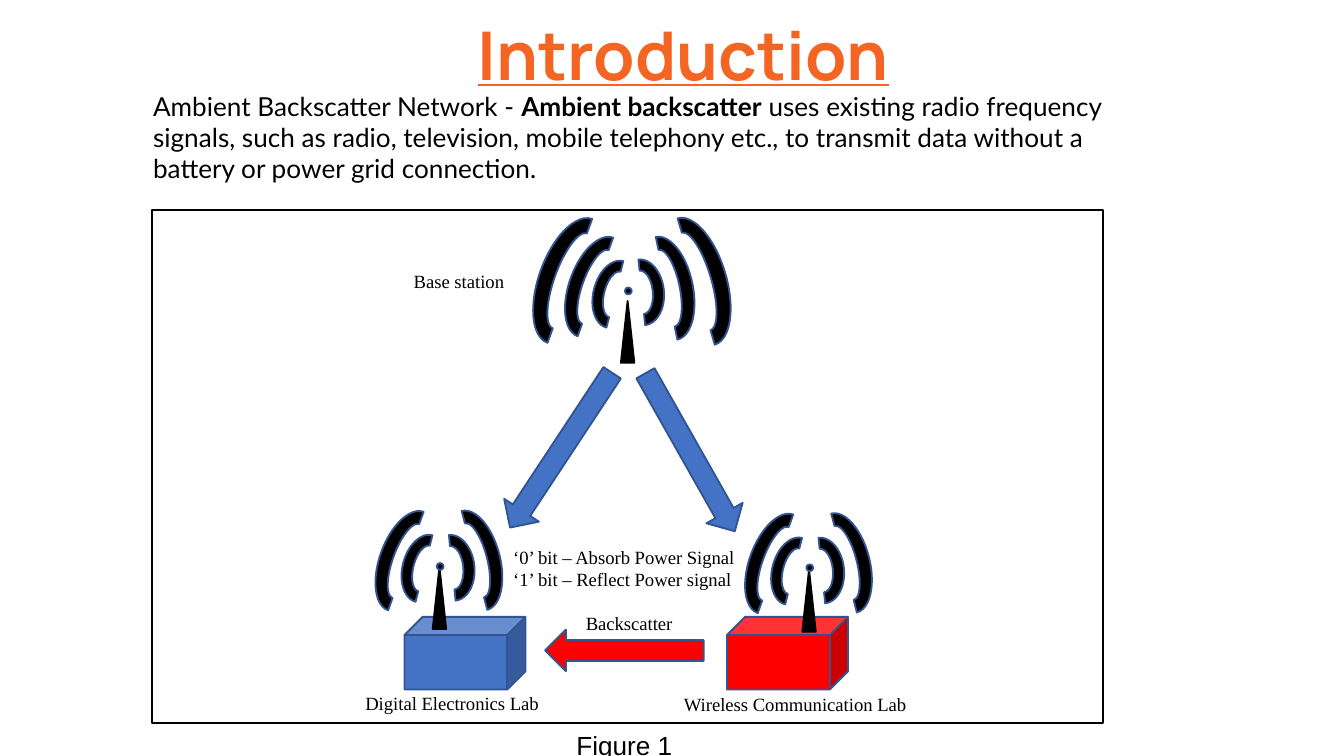
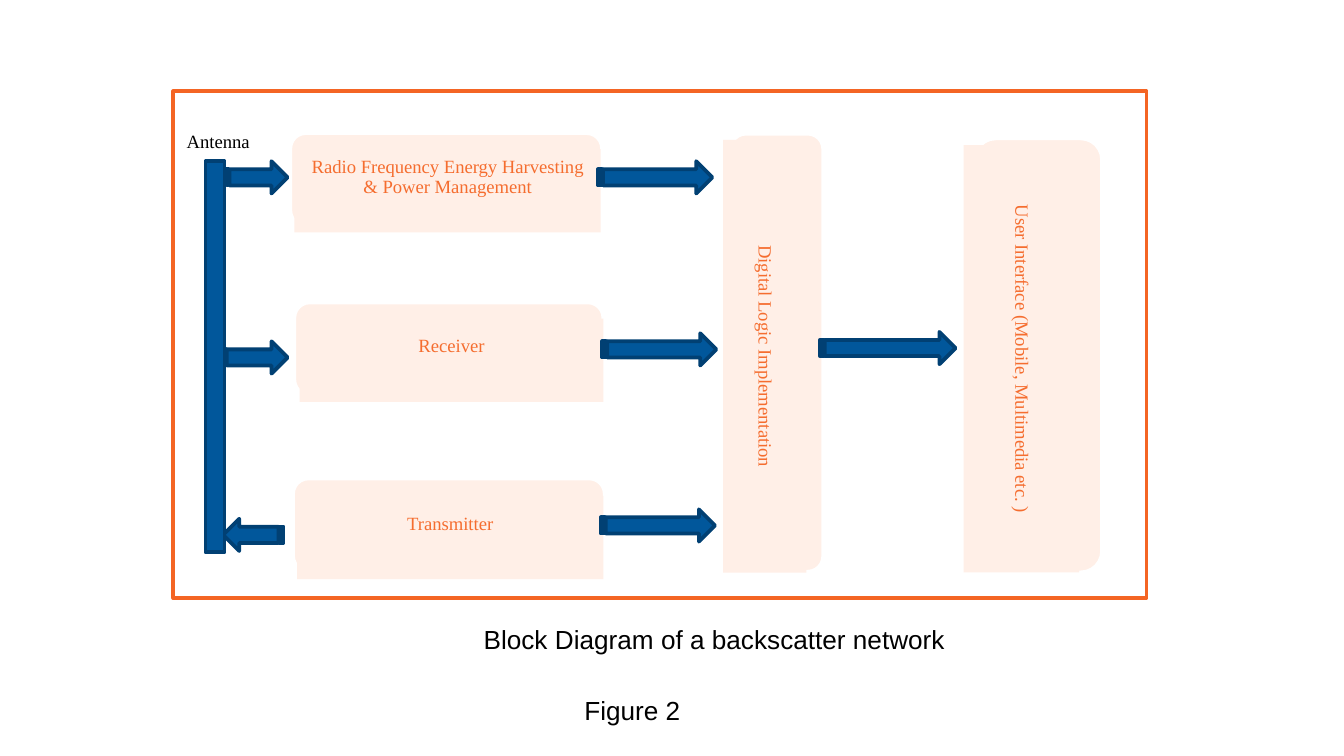
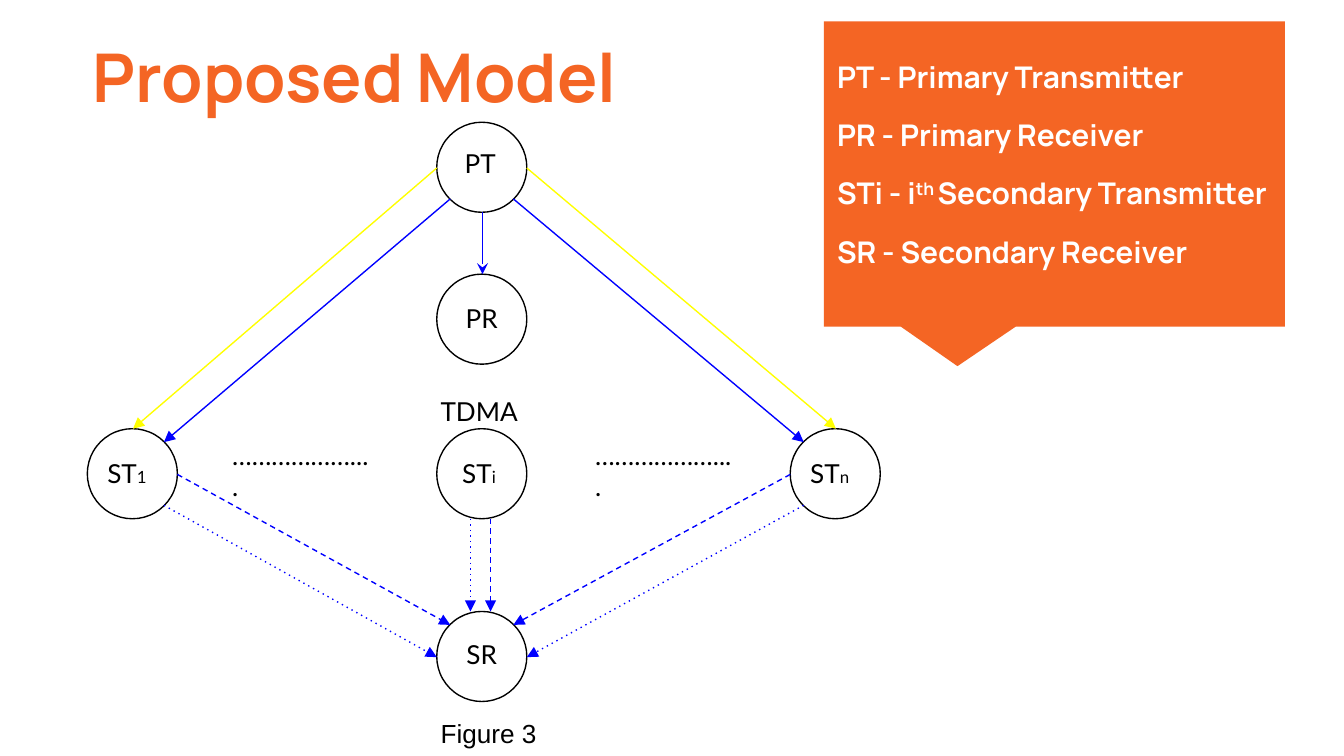
from lxml import etree
from pptx import Presentation
from pptx.dml.color import RGBColor
from pptx.enum.shapes import MSO_CONNECTOR, MSO_SHAPE as SHAPE
from pptx.enum.text import MSO_ANCHOR as ANCHOR, PP_ALIGN as ALIGN
from pptx.oxml.ns import qn
from pptx.util import Inches, Pt

ORANGE = RGBColor(0xF4, 0x65, 0x24)
TEXT_ORANGE = RGBColor(0xF5, 0x6D, 0x2F)
PEACH = RGBColor(0xFF, 0xEF, 0xE7)
BLACK = RGBColor(0, 0, 0)
WHITE = RGBColor(0xFF, 0xFF, 0xFF)
RED = RGBColor(0xFF, 0, 0)
YELLOW = RGBColor(0xFF, 0xFF, 0)
BLUE = RGBColor(0, 0, 0xFF)
STEEL = RGBColor(0x44, 0x72, 0xC4)
STEEL_EDGE = RGBColor(0x32, 0x54, 0x91)
NAVY = RGBColor(0x01, 0x57, 0x9B)
NAVY_EDGE = RGBColor(0x01, 0x40, 0x73)

TITLE = {"name": "Manrope", "size": Pt(36), "bold": True, "color": ORANGE}
LEGEND = {"name": "Manrope", "size": Pt(16), "bold": True, "color": WHITE}
BODY = {"name": "Lato", "size": Pt(14), "color": BLACK}
LABEL = {"name": "Times New Roman", "size": Pt(10), "color": BLACK}
BLOCK = {**LABEL, "color": TEXT_ORANGE}
CAPTION = {"name": "Arial", "size": Pt(14), "color": BLACK}


def add_shape(s, kind, box, fill=None, edge=None, width=1, rot=0):
    sp = s.shapes.add_shape(kind, *map(Inches, box))
    sp.shadow.inherit = False
    sp.rotation = rot
    if fill is None:
        sp.fill.background()
    else:
        sp.fill.solid()
        sp.fill.fore_color.rgb = fill
    if edge is None:
        sp.line.fill.background()
    else:
        sp.line.color.rgb = edge
        sp.line.width = Pt(width)
    return sp


def add_text(s, target, paragraphs, font, inset=(0.1, 0.05, 0.1, 0.05),
             anchor=ANCHOR.TOP, **layout):
    sp = target if hasattr(target, "text_frame") else s.shapes.add_textbox(*map(Inches, target))
    tf = sp.text_frame
    tf.word_wrap = True
    tf.vertical_anchor = anchor
    for side, value in zip(("left", "top", "right", "bottom"), inset):
        setattr(tf, f"margin_{side}", Inches(value))
    for i, runs in enumerate(paragraphs):
        p = tf.add_paragraph() if i else tf.paragraphs[0]
        for name, value in {"alignment": ALIGN.LEFT, **layout}.items():
            if i or name != "space_before":
                setattr(p, name, value)
        for text, changes in [(runs, {})] if isinstance(runs, str) else runs:
            r = p.add_run()
            r.text = text
            for name, value in {**font, **changes}.items():
                if name == "color":
                    r.font.color.rgb = value
                elif name == "baseline":
                    r.font._element.set("baseline", value)
                else:
                    setattr(r.font, name, value)
    return sp


prs = Presentation()
prs.slide_width = Inches(10)
prs.slide_height = prs.slide_width * 9 // 16
blank = prs.slide_layouts[6]
wide = (0.1, 0.1, 0.1, 0.1)

s = prs.slides.add_slide(blank)
add_text(s, (1.24, 0, 7.69, 0.68), ["Introduction"], {**TITLE, "underline": True}, wide,
         alignment=ALIGN.CENTER, space_after=Pt(16))

for kind, box, rot, fill in [
    (SHAPE.DOWN_ARROW, (4.02, 2.66, 0.31, 1.38), 33.4, STEEL),
    (SHAPE.DOWN_ARROW, (4.98, 2.69, 0.31, 1.35), 330.5, STEEL),
    (SHAPE.CUBE, (5.41, 4.59, 0.9, 0.54), 0, RED),
    (SHAPE.CUBE, (3.01, 4.59, 0.9, 0.54), 0, STEEL),
    (SHAPE.DOWN_ARROW, (4.49, 4.25, 0.31, 1.18), 90, RED),
]:
    add_shape(s, kind, box, fill, STEEL_EDGE, rot=rot)

station_arcs = [
    (-0.3, -0.21, 0.51, 0.32, 284.2),
    (-0.58, -0.3, 0.78, 0.39, 289.8),
    (-0.09, -0.23, 0.49, 0.33, 84.2),
    (-0.87, -0.38, 0.98, 0.46, 289.8),
    (-0.05, -0.29, 0.78, 0.39, 78.1),
    (0.07, -0.37, 0.98, 0.45, 73.6),
]
lab_arcs = [
    (-0.32, -0.15, 0.51, 0.32, 284.2),
    (-0.59, -0.24, 0.78, 0.39, 289.8),
    (-0.1, -0.16, 0.49, 0.33, 84.2),
    (-0.07, -0.24, 0.76, 0.38, 75.5),
]
for x, y, tip, arcs in [(4.62, 2.24, -0.1, station_arcs),
                        (3.22, 4.22, -0.03, lab_arcs),
                        (5.97, 4.24, -0.04, lab_arcs)]:
    add_shape(s, SHAPE.ISOSCELES_TRIANGLE, (x, y, 0.1, 0.46), BLACK, BLACK)
    add_shape(s, SHAPE.OVAL, (x + 0.03, y + tip, 0.05, 0.05), BLACK, STEEL_EDGE)
    for dx, dy, w, h, rot in arcs:
        add_shape(s, SHAPE.BLOCK_ARC, (x + dx, y + dy, w, h), BLACK, STEEL_EDGE, rot=rot)

for box, text in [
    ((2.62, 5.1, 2.53, 0.27), "Digital Electronics Lab"),
    ((4.99, 5.11, 1.96, 0.27), "Wireless Communication Lab"),
    ((3.72, 4.01, 1.96, 0.61), "‘0’ bit – Absorb Power Signal ‘1’ bit – Reflect Power signal"),
    ((4.26, 4.5, 0.89, 0.27), "Backscatter"),
    ((2.98, 1.96, 0.89, 0.27), "Base station"),
]:
    add_text(s, box, [text], LABEL)
add_shape(s, SHAPE.RECTANGLE, (1.13, 1.56, 7.08, 3.82), edge=BLACK)
add_text(s, (1.04, 0.62, 7.69, 0.81), [[
    ("Ambient Backscatter Network - ", {}),
    ("Ambient backscatter", {"bold": True}),
    (" uses existing radio frequency signals, such as radio, television, mobile telephony etc., "
     "to transmit data without a battery or power grid connection.", {}),
]], BODY)
add_text(s, (4.19, 5.38, 1.06, 0.34), ["Figure 1"], CAPTION)

s = prs.slides.add_slide(blank)
for back, front, rot, bottom, text in [
    ((2.16, 0.99, 2.32, 0.69), (2.19, 1.11, 2.28, 0.62), 0, 0.31,
     "Radio Frequency Energy Harvesting & Power Management"),
    ((2.19, 2.25, 2.3, 0.69), (2.23, 2.37, 2.26, 0.62), 0, 0.31, "Receiver"),
    ((2.18, 3.56, 2.32, 0.69), (2.21, 3.69, 2.28, 0.62), 0, 0.31, "Transmitter"),
    ((4.15, 2.28, 3.26, 0.69), (4.08, 2.34, 3.22, 0.62), 90, 0.11,
     "Digital Logic Implementation"),
    ((6.11, 2.17, 3.23, 0.95), (6.01, 2.24, 3.18, 0.86), 90, 0.11,
     "User Interface (Mobile, Multimedia etc. )"),
]:
    add_shape(s, SHAPE.ROUNDED_RECTANGLE, back, PEACH, WHITE, 2, rot)
    sp = add_shape(s, SHAPE.RECTANGLE, front, PEACH, rot=rot)
    add_text(s, sp, [text], BLOCK, (0.11, 0.11, 0.11, bottom), ANCHOR.MIDDLE,
             alignment=ALIGN.CENTER, line_spacing=0.9)

for x, y, w, rot in [(1.65, 2.54, 0.49, 0), (1.67, 1.2, 0.47, 0), (4.45, 1.2, 0.85, 0),
                     (4.48, 2.48, 0.85, 0), (4.47, 3.79, 0.85, 0), (6.1, 2.47, 1.01, 0),
                     (1.66, 3.86, 0.45, 180)]:
    add_shape(s, SHAPE.STRIPED_RIGHT_ARROW, (x, y, w, 0.24), NAVY, NAVY_EDGE, 2, rot)
add_shape(s, SHAPE.FLOWCHART_PROCESS, (1.53, 1.2, 0.14, 2.91), NAVY, NAVY_EDGE, 2)
add_text(s, (1.29, 0.92, 1.02, 0.44), ["Antenna"], LABEL)
add_shape(s, SHAPE.FLOWCHART_PROCESS, (1.29, 0.68, 7.24, 3.77), edge=ORANGE, width=2)
add_text(s, (3.5, 4.59, 3.75, 0.34), ["Block Diagram of a backscatter network"], CAPTION)
add_text(s, (4.25, 5.12, 1.06, 0.34), ["Figure 2"], CAPTION)

s = prs.slides.add_slide(blank)
add_text(s, (0.59, 0.16, 5.68, 0.84), ["Proposed Model"], TITLE, wide, space_after=Pt(16))

size = 0.67
nodes = {"PT": (3.25, 0.91), "ST1": (0.65, 3.19), "PR": (3.25, 2.04),
         "STn": (5.88, 3.19), "SR": (3.25, 4.55), "STi": (3.25, 3.19)}
for x, y in nodes.values():
    add_shape(s, SHAPE.OVAL, (x, y, size, size), edge=BLACK, width=0.75)

top, left, bottom, right = (0.34, 0), (0, 0.34), (0.34, size), (size, 0.34)
top_left, top_right, low_left, low_right = (0.1, 0.1), (0.57, 0.1), (0.1, 0.57), (0.57, 0.57)
for start, out, end, into, color, dash, head in [
    ("PT", left, "ST1", top, YELLOW, "solid", "triangle"),
    ("PT", right, "STn", top, YELLOW, "solid", "triangle"),
    ("PT", low_left, "ST1", top_right, BLUE, "solid", "triangle"),
    ("PT", low_right, "STn", top_left, BLUE, "solid", "triangle"),
    ("PT", bottom, "PR", top, BLUE, "solid", "stealth"),
    ("ST1", right, "SR", top_left, BLUE, "dash", "triangle"),
    ("STn", left, "SR", top_right, BLUE, "dash", "triangle"),
    ("ST1", low_right, "SR", left, BLUE, "dot", "triangle"),
    ("STn", low_left, "SR", right, BLUE, "dot", "triangle"),
    ("STi", (0.25, size), "SR", (0.25, 0), BLUE, "dot", "triangle"),
    ("STi", (0.4, size), "SR", (0.4, 0), BLUE, "dash", "triangle"),
]:
    ends = [a + b for node, side in ((start, out), (end, into))
            for a, b in zip(nodes[node], side)]
    c = s.shapes.add_connector(MSO_CONNECTOR.STRAIGHT, *map(Inches, ends))
    c.line.color.rgb = color
    c.line.width = Pt(0.75)
    props = c.element.spPr
    ln = props.find(qn("a:ln"))
    etree.SubElement(ln, qn("a:prstDash")).set("val", dash)
    etree.SubElement(ln, qn("a:tailEnd")).set("type", head)
    etree.SubElement(props, qn("a:effectLst"))

for x, y, text, index, align in [
    (3.36, 1, "PT", "", ALIGN.LEFT), (0.7, 3.3, "ST", "1", ALIGN.LEFT),
    (3.3, 2.15, "PR", "", ALIGN.CENTER), (3.34, 3.3, "ST", "i", ALIGN.LEFT),
    (3.3, 4.65, "SR", "", ALIGN.CENTER), (5.93, 3.3, "ST", "n", ALIGN.LEFT),
]:
    runs = [(text, {})] + ([(index, {"size": Pt(9)})] if index else [])
    add_text(s, (x, y, 0.57, 0.47), [runs], BODY, wide, alignment=align)
add_text(s, (3.18, 2.84, 0.84, 0.47), ["TDMA"], BODY, wide)
for x in (1.63, 4.33):
    add_text(s, (x, 3.17, 1.24, 0.22), ["………………...."], BODY, wide)

sp = add_shape(s, SHAPE.RECTANGULAR_CALLOUT, (6.13, 0.16, 3.43, 2.27), ORANGE)
sp.adjustments[0], sp.adjustments[1] = -0.21, 0.63
add_text(s, sp, [
    "PT - Primary Transmitter",
    "PR - Primary Receiver",
    [("STi - i", {}), ("th ", {"baseline": "30000"}), ("Secondary Transmitter", {})],
    "SR - Secondary Receiver",
], LEGEND, (0.1, 0.1, 0.1, 0.25), ANCHOR.MIDDLE, space_before=Pt(12))
add_text(s, (3.18, 5.29, 1.06, 0.34), ["Figure 3"], CAPTION)

prs.save("out.pptx")
